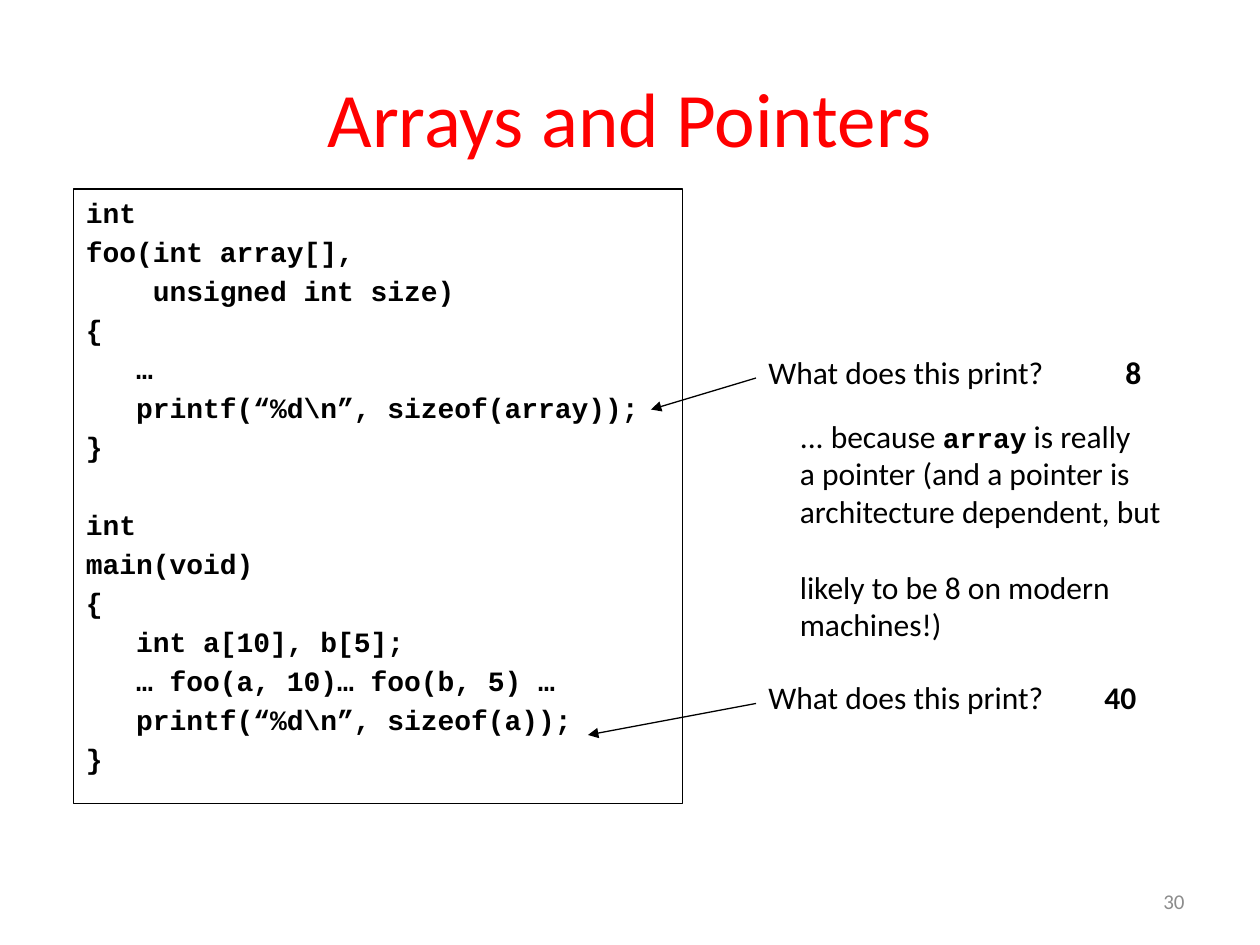
"""Build the slide on arrays and pointers."""
from dataclasses import dataclass

from lxml import etree
from pptx import Presentation, util as u
from pptx.dml.color import RGBColor
from pptx.enum import shapes, text
from pptx.oxml.ns import qn


@dataclass(frozen=True)
class Theme:
    """Colours, fonts, and sizes in points."""
    ink: str = "000000"
    head: str = "FF0000"
    pale: str = "8C8C8C"
    sans: str = "Calibri"
    mono: str = "Courier New"
    title: int = 44
    body: int = 18
    code: int = 16
    foot: int = 12
    line: float = 0.75
    lead: float = 3.1
    skip: float = 25.5
    gap: float = 21.5


class Page:
    """Draw on one slide with a grid of 120 columns and 90 rows."""

    def __init__(self, deck, theme):
        """Add a blank slide and keep its style."""
        self.theme = theme
        self.slide = deck.slides.add_slide(deck.slide_layouts[6])
        self.col, self.row = deck.slide_width / 120, deck.slide_height / 90

    def place(self, x, y, w, h):
        """Turn grid cells into lengths."""
        return [u.Emu(round(n * unit)) for n, unit in
                zip((x, y, w, h), (self.col, self.row) * 2)]

    def style(self, font, size, face=None, tint=None, bold=False):
        """Set size, face, colour and weight of a font."""
        font.size, font.name, font.bold = u.Pt(size), face or self.theme.sans, bold
        font.color.rgb = RGBColor.from_string(tint or self.theme.ink)

    def label(self, spot, words, size=None, tint=None, bold=False,
              align=text.PP_ALIGN.LEFT, wrap=False, anchor=text.MSO_ANCHOR.TOP):
        """Write one line of text."""
        frame = self.slide.shapes.add_textbox(*self.place(*spot)).text_frame
        frame.word_wrap, frame.vertical_anchor = wrap, anchor
        para = frame.paragraphs[0]
        para.text, para.alignment = words, align
        self.style(para.font, size or self.theme.body, tint=tint, bold=bold)

    def code(self, spot, lines):
        """Frame a listing, with a gap for each empty line."""
        box = self.slide.shapes.add_shape(
            shapes.MSO_SHAPE.RECTANGLE, *self.place(*spot))
        box.shadow.inherit = False
        box.fill.background()
        box.line.color.rgb = RGBColor.from_string(self.theme.ink)
        box.line.width = u.Pt(self.theme.line)
        frame = box.text_frame
        frame.word_wrap, frame.vertical_anchor = True, text.MSO_ANCHOR.TOP
        space = 0
        for i, line in enumerate(lines):
            if not line:
                space = self.theme.skip
                continue
            para = frame.add_paragraph() if i else frame.paragraphs[0]
            para.text, para.alignment = line, text.PP_ALIGN.LEFT
            para.space_before = u.Pt(space)
            self.style(para.font, self.theme.code, self.theme.mono, bold=True)
            space = self.theme.lead

    def note(self, spot, parts, blocks):
        """Write a line with a code word, then blocks of plain lines."""
        frame = self.slide.shapes.add_textbox(*self.place(*spot)).text_frame
        frame.word_wrap = False
        para = frame.paragraphs[0]
        for words, mono in parts:
            run = para.add_run()
            run.text = words
            if mono:
                self.style(run.font, self.theme.code, self.theme.mono, bold=True)
            else:
                self.style(run.font, self.theme.body)
        for i, block in enumerate(blocks):
            para = frame.add_paragraph()
            para.text = block
            para.space_before = u.Pt(self.theme.gap if i else 0)
            self.style(para.font, self.theme.body)

    def arrow(self, start, end):
        """Draw a thin line with a head at its end."""
        line = self.slide.shapes.add_connector(
            shapes.MSO_CONNECTOR.STRAIGHT, *self.place(*start, *end))
        line.line.color.rgb = RGBColor.from_string(self.theme.ink)
        line.line.width = u.Pt(self.theme.line)
        etree.SubElement(line.line._get_or_add_ln(), qn("a:tailEnd"), type="triangle")
        etree.SubElement(line._element.spPr, qn("a:effectLst"))


CODE = """int
foo(int array[],
    unsigned int size)
{
   …
   printf(“%d\\n”, sizeof(array));
}

int
main(void)
{
   int a[10], b[5];
   … foo(a, 10)… foo(b, 5) …
   printf(“%d\\n”, sizeof(a));
}"""


def main():
    """Build and save the deck."""
    deck = Presentation()
    deck.slide_width, deck.slide_height = u.Inches(10), u.Inches(7.5)
    theme = Theme()
    page = Page(deck, theme)
    middle = text.MSO_ANCHOR.MIDDLE
    page.label((6, 3.6, 108, 15), "Arrays and Pointers", theme.title, theme.head,
               align=text.PP_ALIGN.CENTER, wrap=True, anchor=middle)
    page.code((7, 18, 58, 58.5), CODE.split("\n"))
    for row, tip, col, reply, wide in ((33, 62, 106, "8", 4.1),
                                       (64, 56, 104, "40", 5.8)):
        page.arrow((72, row + 3), (tip, row + 6))
        page.label((72, row, 30.6, 4.8), "What does this print?")
        page.label((col, row, wide, 4.8), reply, bold=True)
    page.note((75, 39.1, 37.2, 19.4),
              (("... because ", False), ("array", True), (" is really", False)),
              ("a pointer (and a pointer is\varchitecture dependent, but",
               "likely to be 8 on modern\vmachines!)"))
    page.label((86, 83.4, 28, 4.8), "30", theme.foot, theme.pale,
               align=text.PP_ALIGN.RIGHT, wrap=True, anchor=middle)
    deck.save("out.pptx")


if __name__ == "__main__":
    main()
